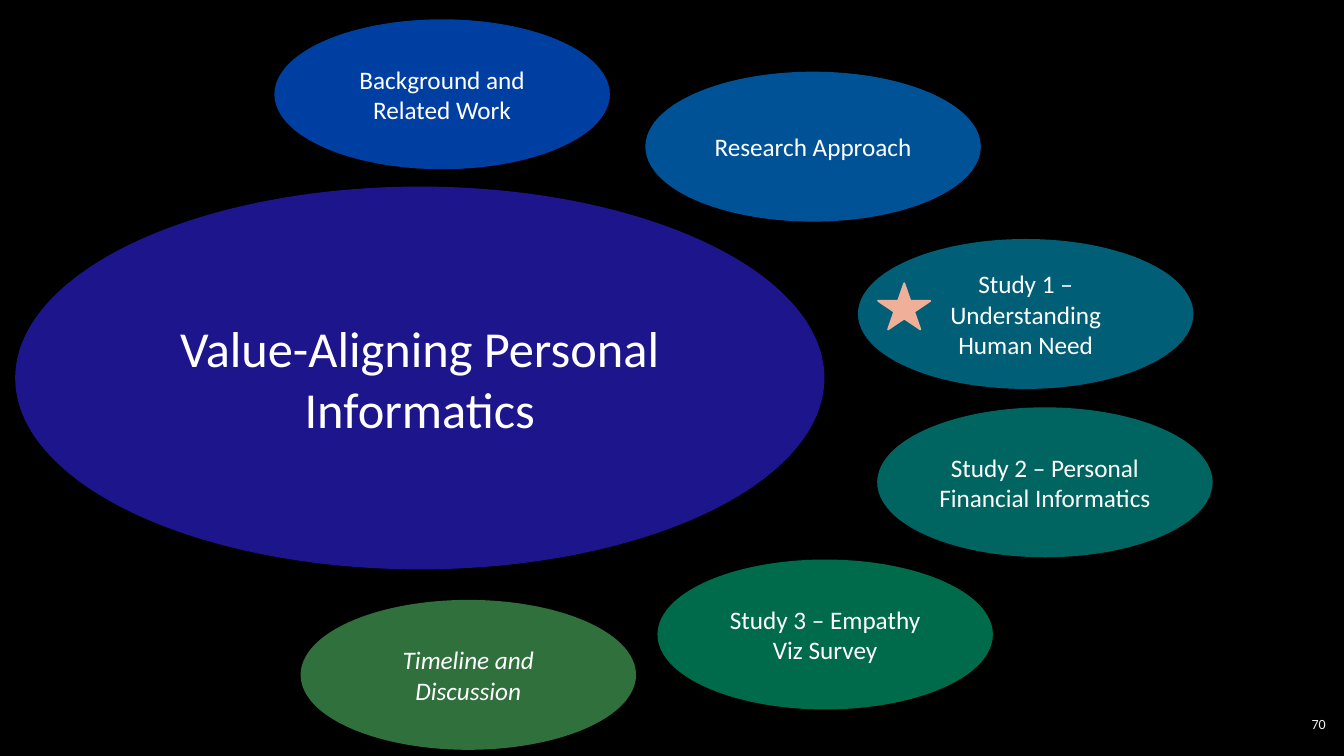
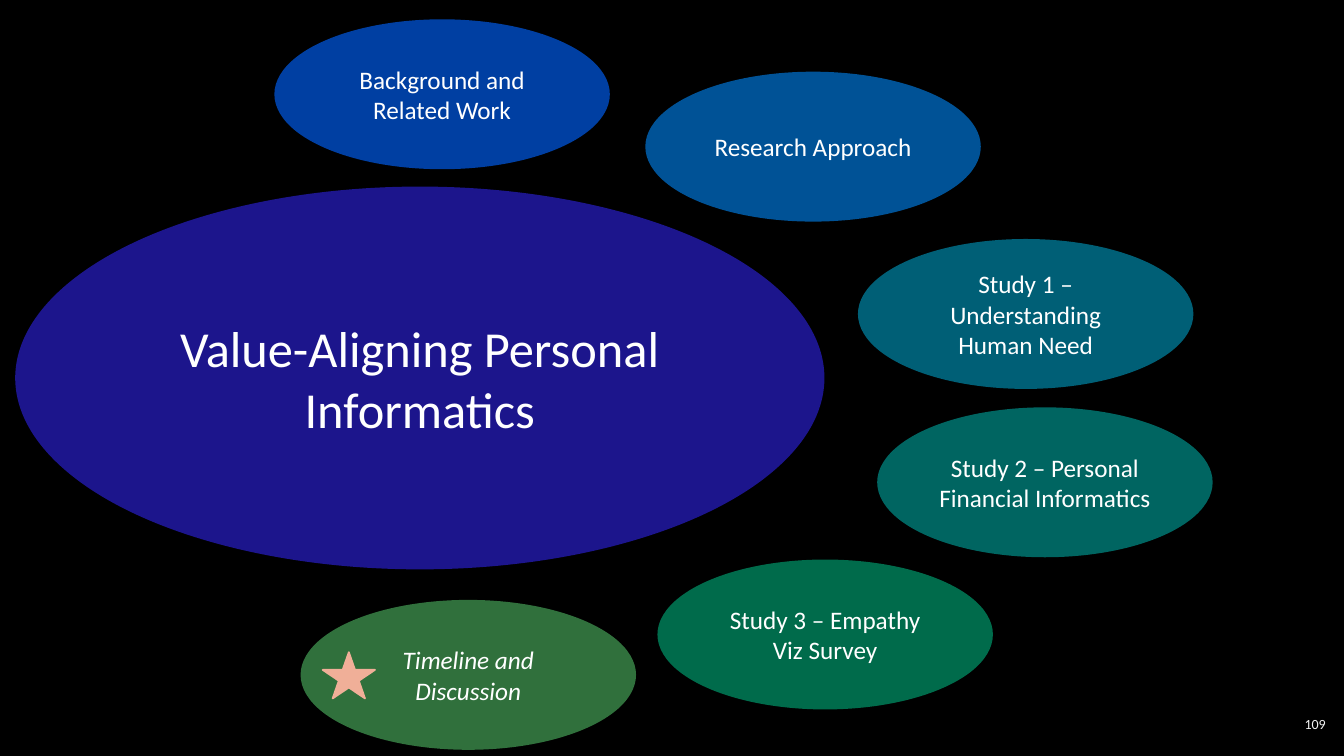
from dataclasses import dataclass

from pptx import Presentation
from pptx.dml.color import RGBColor
from pptx.enum.shapes import MSO_SHAPE
from pptx.enum.text import MSO_ANCHOR, PP_ALIGN
from pptx.util import Inches, Pt


@dataclass(frozen=True)
class Theme:
    font: str = "Calibri"
    background: str = "000000"
    text: str = "FFFFFF"
    number: str = "F2F2F2"
    star: str = "F0AF98"
    hub_size: float = 36
    topic_size: float = 18
    number_size: float = 10
    line_width: float = 1.25


@dataclass(frozen=True)
class Box:
    """Left, top, width and height in percent of the slide's size."""
    x: float
    y: float
    w: float
    h: float


@dataclass(frozen=True)
class Topic:
    text: str
    x: float
    y: float
    fill: str
    italic: bool = False


@dataclass(frozen=True)
class Agenda:
    """One agenda slide: the marked topic and the star's offset inside it."""
    number: int
    current: Topic
    star_dx: float
    star_dy: float


THEME = Theme()
SLIDE_W, SLIDE_H = Inches(13.33), Inches(7.5)
TOPIC_W, TOPIC_H = 24.83, 19.6
STAR_W, STAR_H = 3.9, 6.13
HUB_TEXT, HUB_FILL = "Value-Aligning Personal Informatics", "1C158C"
HUB_BOX = Box(1.2, 24.8, 60.08, 50.4)
NUMBER_BOX = Box(93.23, 93.07, 6.15, 5.33)

STUDY_1 = Topic("Study 1 – Understanding Human Need", 63.9, 31.73, "005F76")
TIMELINE = Topic("Timeline and Discussion", 22.43, 79.47, "30703C", italic=True)
TOPICS = (
    Topic("Background and Related Work", 20.48, 2.67, "003FA2"),
    Topic("Research Approach", 48.08, 9.6, "005296"),
    STUDY_1,
    Topic("Study 2 – Personal Financial Informatics", 65.33, 54, "006561"),
    Topic("Study 3 – Empathy Viz Survey", 48.98, 74.13, "006B4B"),
    TIMELINE,
)
AGENDAS = (
    Agenda(70, STUDY_1, 1.43, 5.73),
    Agenda(109, TIMELINE, 1.58, 6.8),
)


def rgb(color: str) -> RGBColor:
    return RGBColor.from_string(color)


def place(box: Box) -> tuple[int, int, int, int]:
    """Turn percentages into slide lengths."""
    return (round(SLIDE_W * box.x / 100), round(SLIDE_H * box.y / 100),
            round(SLIDE_W * box.w / 100), round(SLIDE_H * box.h / 100))


def write(sp, text: str, *, size: float, color: str = THEME.text,
          align: PP_ALIGN = PP_ALIGN.CENTER, italic: bool = False) -> None:
    tf = sp.text_frame
    tf.word_wrap = True
    tf.vertical_anchor = MSO_ANCHOR.MIDDLE
    p = tf.paragraphs[0]
    p.alignment = align
    r = p.add_run()
    r.text = text
    r.font.name = THEME.font
    r.font.size = Pt(size)
    r.font.italic = italic
    r.font.color.rgb = rgb(color)


def add_solid(s, kind: MSO_SHAPE, box: Box, color: str):
    """Add a shape whose fill and outline share one colour."""
    sp = s.shapes.add_shape(kind, *place(box))
    sp.shadow.inherit = False
    sp.fill.solid()
    sp.fill.fore_color.rgb = rgb(color)
    sp.line.color.rgb = rgb(color)
    sp.line.width = Pt(THEME.line_width)
    return sp


def add_topic(s, topic: Topic) -> None:
    box = Box(topic.x, topic.y, TOPIC_W, TOPIC_H)
    sp = add_solid(s, MSO_SHAPE.OVAL, box, topic.fill)
    write(sp, topic.text, size=THEME.topic_size, italic=topic.italic)


def add_agenda(prs, agenda: Agenda) -> None:
    s = prs.slides.add_slide(prs.slide_layouts[6])
    s.background.fill.solid()
    s.background.fill.fore_color.rgb = rgb(THEME.background)

    hub = add_solid(s, MSO_SHAPE.OVAL, HUB_BOX, HUB_FILL)
    write(hub, HUB_TEXT, size=THEME.hub_size)
    for topic in TOPICS:
        add_topic(s, topic)

    number = s.shapes.add_textbox(*place(NUMBER_BOX))
    write(number, str(agenda.number), size=THEME.number_size,
          color=THEME.number, align=PP_ALIGN.RIGHT)

    star_box = Box(agenda.current.x + agenda.star_dx,
                   agenda.current.y + agenda.star_dy, STAR_W, STAR_H)
    add_solid(s, MSO_SHAPE.STAR_5_POINT, star_box, THEME.star)


def main() -> None:
    prs = Presentation()
    prs.slide_width, prs.slide_height = SLIDE_W, SLIDE_H
    for agenda in AGENDAS:
        add_agenda(prs, agenda)
    prs.save("out.pptx")


if __name__ == "__main__":
    main()
